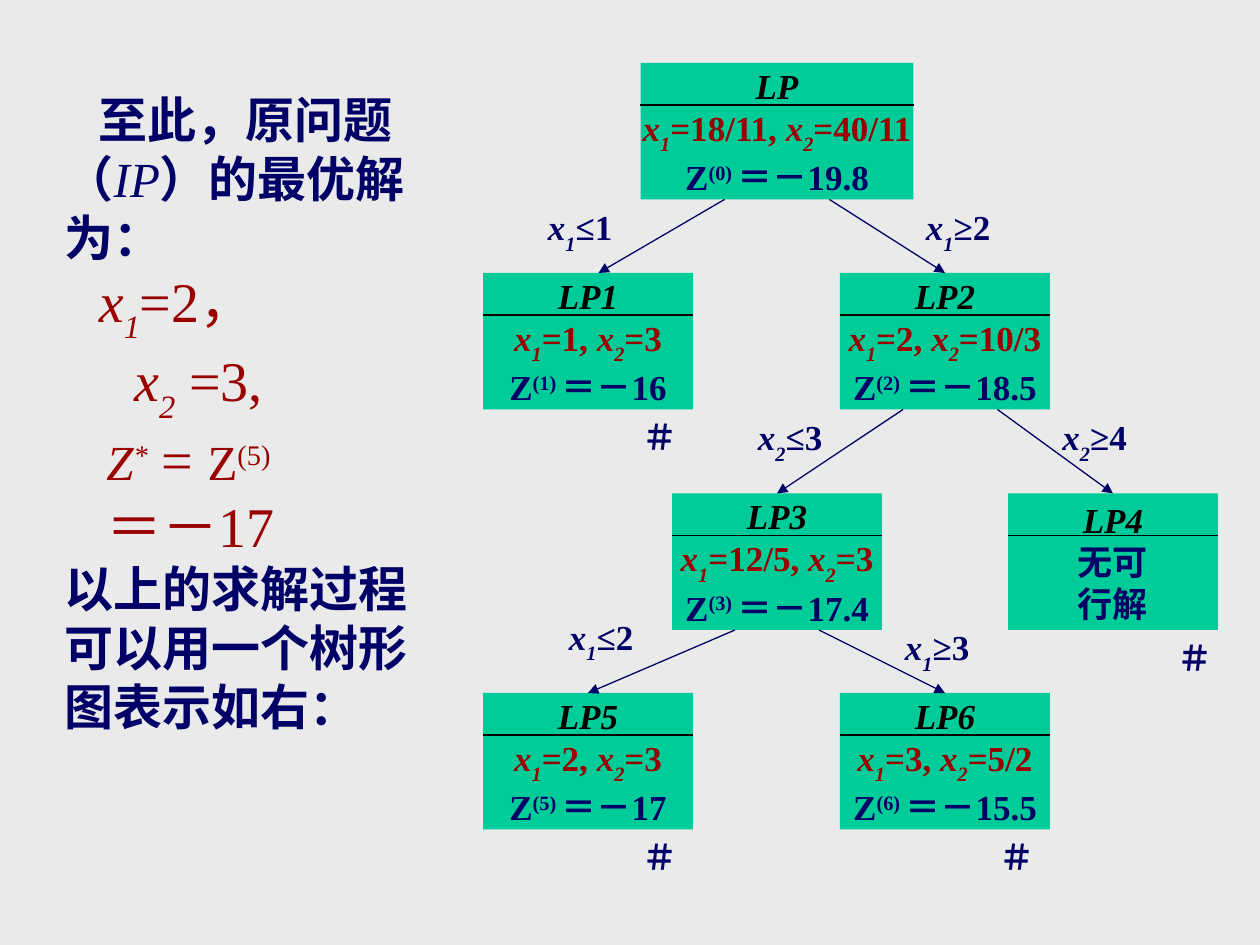
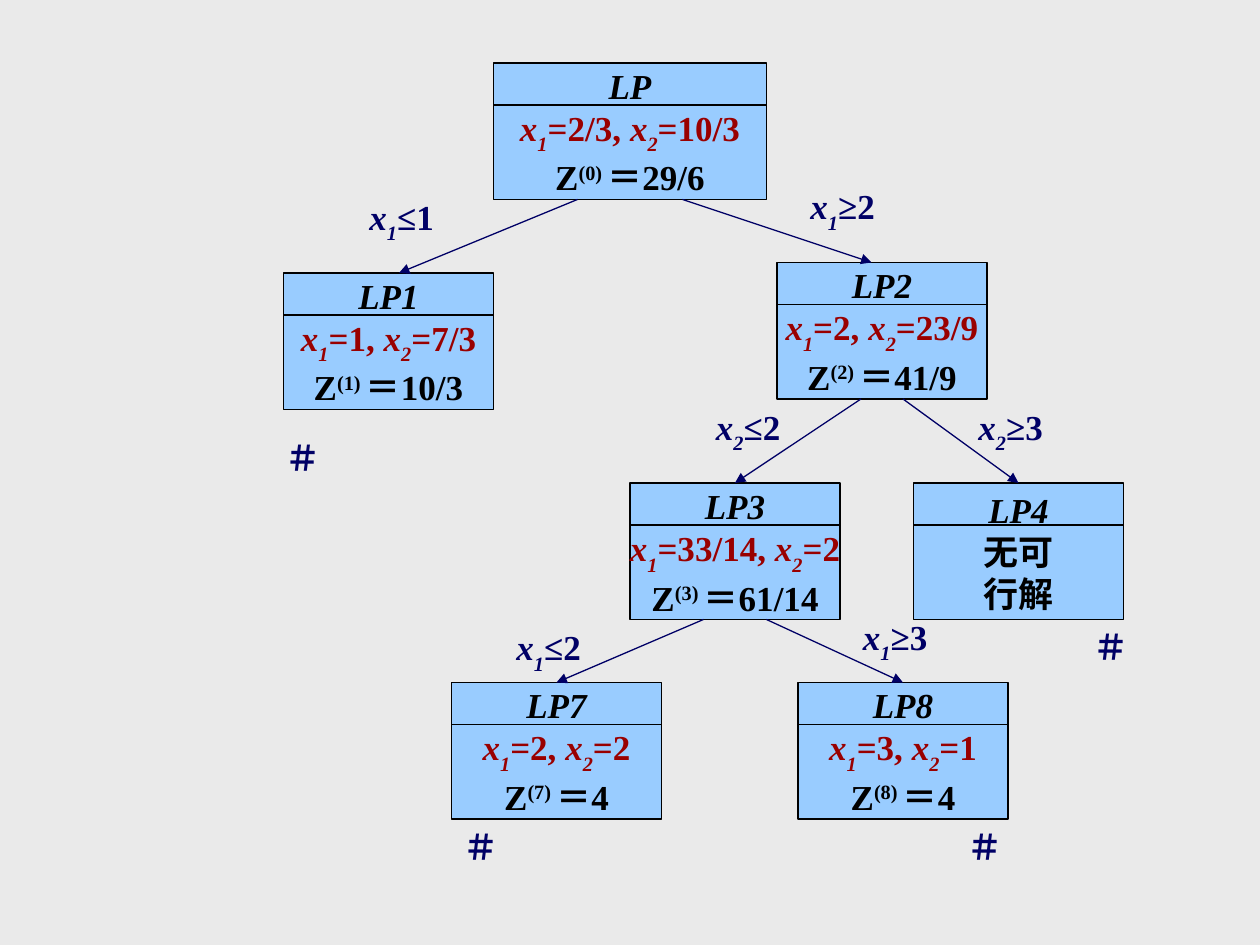
from dataclasses import dataclass

from lxml.etree import SubElement
from pptx import Presentation
from pptx.dml.color import RGBColor
from pptx.enum.shapes import MSO_CONNECTOR, MSO_SHAPE
from pptx.enum.text import MSO_ANCHOR, PP_ALIGN
from pptx.oxml.ns import qn
from pptx.util import Inches, Pt

COLORS = {"back": "EAEAEA", "navy": "000066", "red": "990000",
          "black": "000000", "green": "00CC99", "blue": "99CCFF"}
SERIF, HAN = "Times New Roman", "Noto Sans CJK SC"
COLS, ROWS = 120, 90
CELL = Inches(10) / COLS
NODE_W, ROOT_W, NODE_H, HEAD_H = 20, 26, 13, 4


@dataclass
class Node:
    """One subproblem; x1 and x2 stay empty when it is infeasible."""
    name: str
    col: int
    row: int
    x1: str = ""
    x2: str = ""
    index: int = 0
    z: str = ""

    @property
    def width(self):
        return ROOT_W if self.name == "LP" else NODE_W


@dataclass
class Branch:
    """An arrow between two nodes with its condition on x."""
    parent: str
    child: str
    start_col: int
    end_col: int
    sub: str
    condition: str
    label: tuple


def grid(*cells):
    return [round(c * CELL) for c in cells]


def rgb(name):
    return RGBColor.from_string(COLORS[name])


def add_run(p, text, size=20, color="navy", bold=True, italic=False,
            base=0, font=SERIF):
    r = p.add_run()
    r.text = text
    f = r.font
    f.name, f.size, f.bold, f.italic = font, Pt(size), bold, italic
    f.color.rgb = rgb(color)
    if base:
        r._r.get_or_add_rPr().set("baseline", str(base * 1000))
    if font == HAN:
        SubElement(r._r.get_or_add_rPr(), qn("a:ea")).set("typeface", HAN)


def add_variable(p, sub, rest, **style):
    """Write x with a subscript, followed by upright text."""
    add_run(p, "x", italic=True, **style)
    add_run(p, sub, italic=True, base=-30, **style)
    add_run(p, rest, **style)


def next_paragraph(tf, align=None, indent=0):
    first = tf.paragraphs[0]
    p = tf.add_paragraph() if first.runs else first
    if align is not None:
        p.alignment = align
    if indent:
        p._p.get_or_add_pPr().set("indent", str(Inches(indent)))
    return p


def add_text(s, col, row, width, height, wrap=True):
    tf = s.shapes.add_textbox(*grid(col, row, width, height)).text_frame
    tf.word_wrap = wrap
    return tf


def add_line(s, start, end, color, arrow=False):
    line = s.shapes.add_connector(MSO_CONNECTOR.STRAIGHT,
                                  *grid(*start, *end))
    line.line.color.rgb = rgb(color)
    line.line.width = Pt(0.75)
    if arrow:
        SubElement(line.line._get_or_add_ln(),
                   qn("a:tailEnd")).set("type", "triangle")
    SubElement(line._element.spPr, qn("a:effectLst"))


def add_node(s, node, fill, value_color, outlined):
    sp = s.shapes.add_shape(MSO_SHAPE.RECTANGLE, *grid(
        node.col, node.row, node.width, NODE_H))
    sp.shadow.inherit = False
    sp.fill.solid()
    sp.fill.fore_color.rgb = rgb(fill)
    if outlined:
        sp.line.color.rgb = rgb("black")
        sp.line.width = Pt(0.75)
    else:
        sp.line.fill.background()
    tf = sp.text_frame
    tf.word_wrap = False
    tf.vertical_anchor = MSO_ANCHOR.MIDDLE
    add_run(next_paragraph(tf, PP_ALIGN.CENTER), node.name,
            color="black", italic=True)
    if node.x1:
        p = next_paragraph(tf, PP_ALIGN.CENTER)
        add_variable(p, "1", f"={node.x1}, ", color="red")
        add_variable(p, "2", f"={node.x2}", color="red")
        p = next_paragraph(tf, PP_ALIGN.CENTER)
        add_run(p, "Z", color=value_color)
        add_run(p, f"({node.index}) ", color=value_color, base=30)
        add_run(p, f"＝{node.z}", color=value_color)
    else:
        for words in ("无可", "行解"):
            add_run(next_paragraph(tf, PP_ALIGN.CENTER), words,
                    color=value_color)
    rule = node.row + HEAD_H
    add_line(s, (node.col, rule), (node.col + node.width, rule), "black")


def add_branch(s, branch, nodes):
    add_line(s, (branch.start_col, nodes[branch.parent].row + NODE_H),
             (branch.end_col, nodes[branch.child].row), "navy", arrow=True)
    tf = add_text(s, *branch.label, 11.2, 5.2)
    add_variable(next_paragraph(tf), branch.sub, branch.condition)


def add_tree(s, nodes, branches, closed, fill, value_color, outlined=False):
    """Draw nodes, branches and the ＃ marks of the closed nodes."""
    for node in nodes:
        add_node(s, node, fill, value_color, outlined)
    by_name = {node.name: node for node in nodes}
    for branch in branches:
        add_branch(s, branch, by_name)
    for col, row in closed:
        add_run(next_paragraph(add_text(s, col, row, 5.8, 5.2, False)), "＃")


def add_conclusion(s):
    tf = add_text(s, 5, 8, 36, 66)
    han = {"size": 28, "font": HAN}
    red = {"size": 32, "color": "red", "bold": False}
    small = {**red, "size": 28}

    p = next_paragraph(tf, indent=0.27)
    p.line_spacing = Pt(33.5)
    add_run(p, "至此，原问题（", **han)
    add_run(p, "IP", 28, bold=False, italic=True)
    add_run(p, "）的最优解为：", **han)

    add_variable(next_paragraph(tf, indent=0.27), "1", "=2，", **red)
    add_variable(next_paragraph(tf, indent=0.55), "2", " =3,", **red)

    p = next_paragraph(tf, indent=0.33)
    add_run(p, "Z", italic=True, **small)
    add_run(p, "*", italic=True, base=30, **small)
    add_run(p, " = ", **red)
    add_run(p, "Z", **small)
    add_run(p, "(5)", base=30, **small)

    add_run(next_paragraph(tf, indent=0.33), "＝－17", **red)

    p = next_paragraph(tf)
    p.line_spacing = Pt(33.5)
    add_run(p, "以上的求解过程可以用一个树形图表示如右：", **han)


def main():
    prs = Presentation()
    prs.slide_width, prs.slide_height = grid(COLS, ROWS)
    back = prs.slide_master.background.fill
    back.solid()
    back.fore_color.rgb = rgb("back")
    blank = prs.slide_layouts[6]

    s = prs.slides.add_slide(blank)
    add_conclusion(s)
    add_tree(s, [
        Node("LP", 61, 6, "18/11", "40/11", 0, "－19.8"),
        Node("LP1", 46, 26, "1", "3", 1, "－16"),
        Node("LP2", 80, 26, "2", "10/3", 2, "－18.5"),
        Node("LP3", 64, 47, "12/5", "3", 3, "－17.4"),
        Node("LP4", 96, 47),
        Node("LP5", 46, 66, "2", "3", 5, "－17"),
        Node("LP6", 80, 66, "3", "5/2", 6, "－15.5"),
    ], [
        Branch("LP", "LP1", 69, 57, "1", "≤1", (51, 19)),
        Branch("LP", "LP2", 79, 90, "1", "≥2", (87, 19)),
        Branch("LP2", "LP3", 86, 74, "2", "≤3", (71, 39)),
        Branch("LP2", "LP4", 95, 106, "2", "≥4", (100, 39)),
        Branch("LP3", "LP5", 70, 56, "1", "≤2", (53, 58)),
        Branch("LP3", "LP6", 78, 90, "1", "≥3", (85, 59)),
    ], [(60, 39), (111, 60), (60, 79), (94, 79)], "green", "navy")

    s = prs.slides.add_slide(blank)
    add_tree(s, [
        Node("LP", 47, 6, "2/3", "10/3", 0, "29/6"),
        Node("LP1", 27, 26, "1", "7/3", 1, "10/3"),
        Node("LP2", 74, 25, "2", "23/9", 2, "41/9"),
        Node("LP3", 60, 46, "33/14", "2", 3, "61/14"),
        Node("LP4", 87, 46),
        Node("LP7", 43, 65, "2", "2", 7, "4"),
        Node("LP8", 76, 65, "3", "1", 8, "4"),
    ], [
        Branch("LP", "LP1", 55, 38, "1", "≤1", (34, 18)),
        Branch("LP", "LP2", 65, 83, "1", "≥2", (76, 17)),
        Branch("LP2", "LP3", 82, 70, "2", "≤2", (67, 38)),
        Branch("LP2", "LP4", 86, 97, "2", "≥3", (92, 38)),
        Branch("LP3", "LP7", 67, 53, "1", "≤2", (48, 59)),
        Branch("LP3", "LP8", 73, 86, "1", "≥3", (81, 58)),
    ], [(103, 59), (43, 78), (91, 78), (26, 41)], "blue", "black",
        outlined=True)

    prs.save("out.pptx")


if __name__ == "__main__":
    main()
